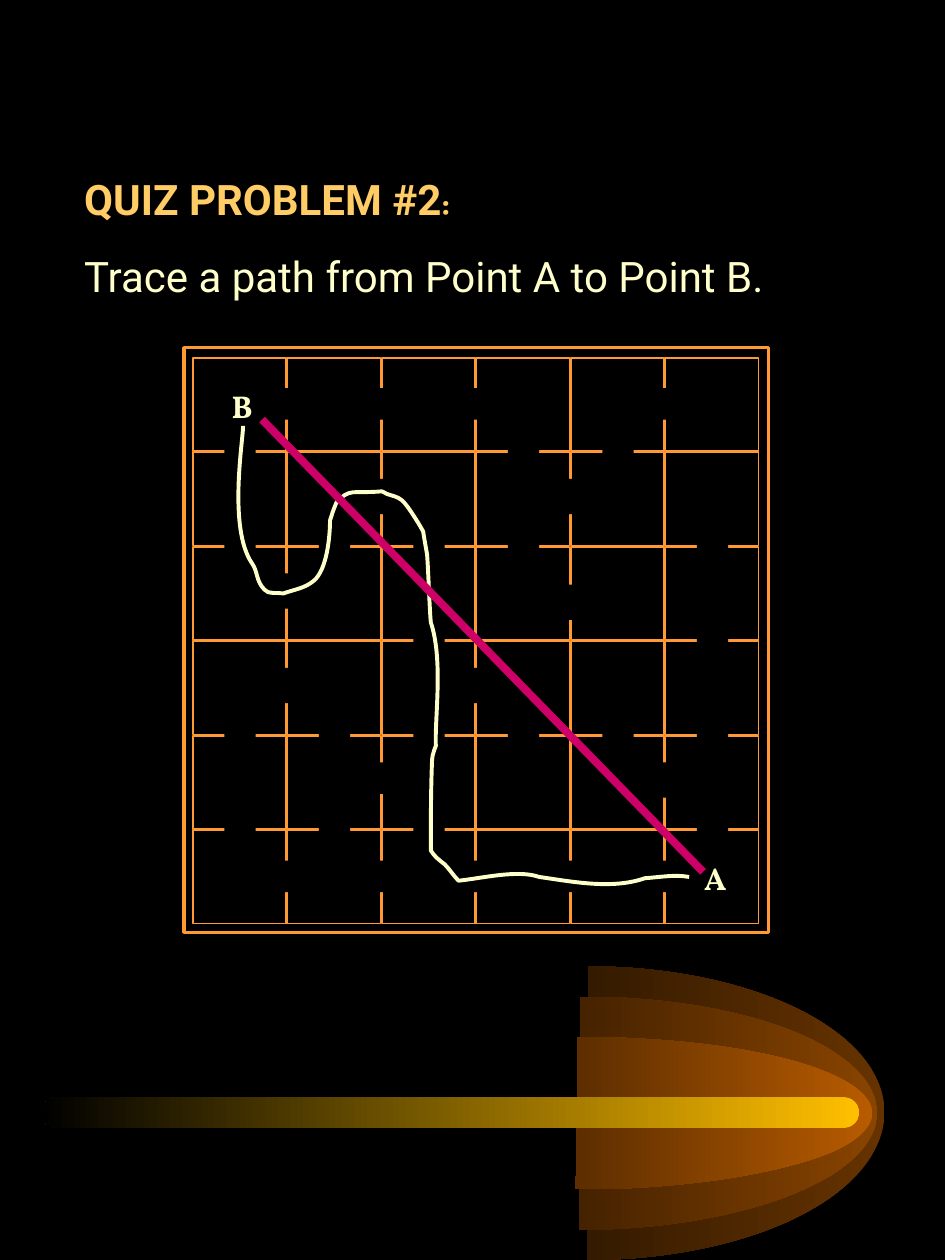
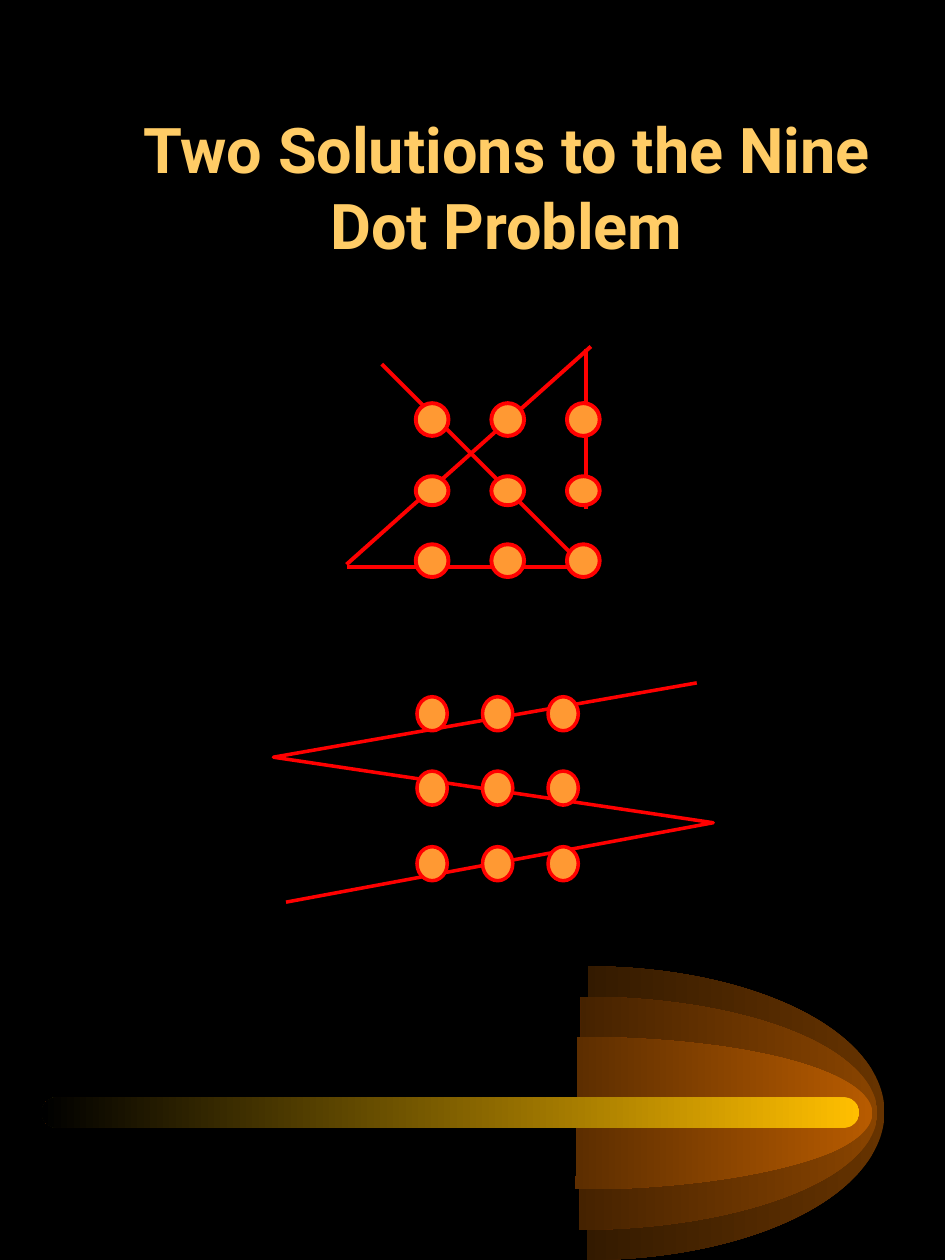
from copy import deepcopy
from dataclasses import dataclass
from itertools import product

from lxml.etree import SubElement
from pptx import Presentation
from pptx.dml.color import RGBColor
from pptx.enum.shapes import MSO_CONNECTOR, MSO_SHAPE
from pptx.enum.text import MSO_AUTO_SIZE, PP_ALIGN
from pptx.oxml.ns import qn
from pptx.util import Emu, Pt

EMU_PER_PX = 9144  # 100 px to the inch
COLORS = {
    "background": "000000",
    "heading": "FFCC66",
    "text": "FFFFCC",
    "orange": "FF9933",
    "red": "FF0000",
    "shortcut": "CC0066",
    "beam": "FFBF00",
    "outer flare": "663300",
    "middle flare": "894400",
    "inner flare": "B75B00",
}
SANS, SERIF = "Roboto", "Vollkorn"

Point = tuple[int, int]


@dataclass(frozen=True)
class Box:
    left: int
    top: int
    width: int
    height: int


@dataclass(frozen=True)
class Stroke:
    color: str
    points: float


@dataclass(frozen=True)
class Segment:
    start: Point
    end: Point
    stroke: Stroke


@dataclass(frozen=True)
class Span:
    text: str
    size: int
    font: str


@dataclass(frozen=True)
class Line:
    spans: tuple[Span, ...]
    color: str
    bold: bool = True
    space_before: float = 0
    align: PP_ALIGN = PP_ALIGN.LEFT


@dataclass(frozen=True)
class Flare:
    """Right half of an ellipse: its frame, arc control points and centre."""
    color: str
    frame: Box
    arc: tuple[Point, ...]
    center: Point


@dataclass(frozen=True)
class DotGrid:
    left: int
    pitch: int
    width: int
    rows: tuple[tuple[int, int], ...]  # top and height of each row
    stroke: Stroke


FLARES = (
    Flare("outer flare", Box(233, 767, 469, 233), (
        (467, 767), (551, 767), (629, 789), (671, 825), (713, 861),
        (712, 906), (670, 942), (628, 978), (550, 1000), (466, 1000)), (467, 883)),
    Flare("middle flare", Box(227, 791, 470, 185), (
        (461, 791), (545, 791), (623, 808), (665, 837), (707, 866),
        (707, 901), (664, 930), (622, 958), (544, 976), (460, 976)), (461, 883)),
    Flare("inner flare", Box(223, 823, 469, 121), (
        (458, 823), (542, 823), (619, 834), (661, 853), (703, 872),
        (703, 895), (661, 914), (618, 932), (541, 944), (457, 944)), (458, 883)),
)
BEAM = Box(33, 871, 649, 24)

MAZE_FRAME = Box(146, 276, 464, 464)
MAZE_LEFT, MAZE_TOP, CELL_PITCH, CELL_SIZE, CELL_COUNT = 153, 284, 75, 74, 6
PASSAGES = (
    Box(186, 308, 250, 25), Box(486, 308, 108, 25), Box(211, 683, 333, 25),
    Box(553, 385, 25, 333), Box(478, 533, 25, 119), Box(403, 533, 25, 119),
    Box(248, 605, 119, 25), Box(489, 605, 72, 28), Box(178, 310, 25, 181),
    Box(178, 535, 25, 181), Box(403, 319, 25, 181), Box(478, 308, 25, 108),
    Box(328, 385, 25, 333), Box(253, 392, 25, 108), Box(253, 535, 25, 181),
    Box(198, 530, 72, 28), Box(348, 530, 72, 28), Box(189, 455, 72, 28),
    Box(273, 380, 72, 28), Box(423, 380, 72, 28), Box(414, 464, 72, 28),
)
MAZE_LABELS = {"B": Box(174, 302, 51, 40), "A": Box(549, 677, 51, 40)}
TRACE_FRAME = Box(181, 338, 366, 369)
TRACED_PATH = (
    (547, 696), (535, 694), (526, 696), (512, 697),
    (486, 706), (456, 700), (428, 696), (411, 690), (383, 697), (364, 699),
    (360, 695), (357, 690), (353, 686), (348, 682), (345, 680), (342, 675),
    (342, 651), (342, 627), (343, 603), (343, 599), (346, 592), (346, 592),
    (345, 570), (352, 524), (342, 494), (341, 484), (340, 452), (339, 440),
    (339, 440), (336, 423), (336, 422), (334, 418), (323, 400), (319, 397),
    (315, 394), (313, 394), (307, 392), (306, 391), (303, 390), (303, 390),
    (279, 392), (278, 387), (267, 399), (263, 409), (265, 404), (262, 413),
    (262, 424), (260, 452), (249, 461), (242, 467), (233, 468), (225, 471),
    (220, 470), (213, 472), (210, 468), (203, 461), (205, 454), (200, 447),
    (181, 419), (193, 350), (193, 338),
)
SHORTCUT = Segment((208, 333), (558, 692), Stroke("shortcut", 4.5))

WALL = Stroke("orange", 1)
BOLD_RED = Stroke("red", 2.25)
THIN_RED = Stroke("red", 2)
FOUR_LINES = (
    Segment((467, 450), (275, 450), BOLD_RED),
    Segment((303, 289), (462, 448), BOLD_RED),
    Segment((465, 404), (465, 277), BOLD_RED),
    Segment((469, 275), (275, 448), BOLD_RED),
)
FOUR_LINE_DOTS = DotGrid(330, 60, 26, ((320, 26), (378, 23), (432, 26)), BOLD_RED)
ZIGZAG = ((553, 542), (217, 601), (566, 653), (227, 716))
ZIGZAG_DOTS = DotGrid(331, 52, 24, ((553, 27), (612, 27), (672, 27)), THIN_RED)


def px(length: int) -> Emu:
    return Emu(length * EMU_PER_PX)


def rgb(color: str) -> RGBColor:
    return RGBColor.from_string(COLORS[color])


def place(box: Box) -> tuple[Emu, ...]:
    return px(box.left), px(box.top), px(box.width), px(box.height)


def apply_stroke(item, stroke: Stroke | None) -> None:
    if stroke is None:
        item.line.fill.background()
    else:
        item.line.color.rgb = rgb(stroke.color)
        item.line.width = Pt(stroke.points)


def paint(shape, fill: str | None, stroke: Stroke | None) -> None:
    shape.shadow.inherit = False
    if fill is None:
        shape.fill.background()
    else:
        shape.fill.solid()
        shape.fill.fore_color.rgb = rgb(fill)
    apply_stroke(shape, stroke)


def paint_glow(shape, color: str) -> None:
    """Fill with a gradient from the colour on the right to the background."""
    paint(shape, None, None)
    shape.fill.gradient()
    shape.fill.gradient_angle = 180
    for stop, shade in zip(shape.fill.gradient_stops, (color, "background")):
        stop.color.rgb = rgb(shade)


def add_block(shapes, kind: MSO_SHAPE, box: Box, fill: str | None = None,
              stroke: Stroke | None = None):
    shape = shapes.add_shape(kind, *place(box))
    paint(shape, fill, stroke)
    return shape


def add_segment(shapes, segment: Segment) -> None:
    ends = [px(value) for value in segment.start + segment.end]
    connector = shapes.add_connector(MSO_CONNECTOR.STRAIGHT, *ends)
    apply_stroke(connector, segment.stroke)
    SubElement(connector._element.spPr, qn("a:effectLst"))


def add_outline(shapes, points: tuple[Point, ...]):
    corners = [(px(x), px(y)) for x, y in points]
    builder = shapes.build_freeform(*corners[0])
    builder.add_line_segments(corners[1:], close=False)
    return builder.convert_to_shape()


def add_path_step(path, tag: str, points: tuple[Point, ...], frame: Box) -> None:
    step = SubElement(path, qn(tag))
    for x, y in points:
        SubElement(step, qn("a:pt"), x=str(px(x - frame.left)), y=str(px(y - frame.top)))


def add_curve(shapes, frame: Box, controls: tuple[Point, ...]):
    """Add chained cubic Bezier curves; return the shape and its path element."""
    far_corner = (frame.left + frame.width, frame.top + frame.height)
    shape = add_outline(shapes, ((frame.left, frame.top), far_corner))
    path = next(shape._element.iter(qn("a:path")))
    for step in list(path):
        path.remove(step)
    add_path_step(path, "a:moveTo", controls[:1], frame)
    for first in range(1, len(controls), 3):
        add_path_step(path, "a:cubicBezTo", controls[first:first + 3], frame)
    return shape, path


def add_flare(shapes, flare: Flare) -> None:
    shape, sector = add_curve(shapes, flare.frame, flare.arc)
    rim = deepcopy(sector)
    rim.set("fill", "none")
    sector.addnext(rim)
    sector.set("stroke", "0")
    add_path_step(sector, "a:lnTo", (flare.center,), flare.frame)
    SubElement(sector, qn("a:close"))
    paint_glow(shape, flare.color)


def add_text(shapes, box: Box, lines: tuple[Line, ...]) -> None:
    frame = shapes.add_textbox(*place(box)).text_frame
    frame.word_wrap = True
    frame.auto_size = MSO_AUTO_SIZE.SHAPE_TO_FIT_TEXT
    for index, line in enumerate(lines):
        paragraph = frame.add_paragraph() if index else frame.paragraphs[0]
        paragraph.alignment = line.align
        if index:
            paragraph.space_before = Pt(line.space_before)
        paragraph.font.bold = line.bold
        paragraph.font.color.rgb = rgb(line.color)
        for span in line.spans:
            run = paragraph.add_run()
            run.text = span.text
            font = paragraph.font if len(line.spans) == 1 else run.font
            font.size = Pt(span.size)
            font.name = span.font


def add_dots(shapes, dots: DotGrid) -> None:
    for (top, height), column in product(dots.rows, range(3)):
        box = Box(dots.left + column * dots.pitch, top, dots.width, height)
        add_block(shapes, MSO_SHAPE.OVAL, box, "orange", dots.stroke)


def move_comet_to_master(prs, slide) -> None:
    """Draw the comet on a slide, then move it to the back of the master."""
    comet = slide.shapes.add_group_shape()
    for flare in FLARES:
        add_flare(comet.shapes, flare)
    beam = add_block(comet.shapes, MSO_SHAPE.ROUNDED_RECTANGLE, BEAM)
    beam.adjustments[0] = 0.5
    paint_glow(beam, "beam")
    for shape_id, properties in enumerate(comet._element.iter(qn("p:cNvPr")), 20):
        properties.set("id", str(shape_id))
    prs.slide_master.shapes._spTree.insert(2, comet._element)


def build_maze(shapes) -> None:
    for row, column in product(range(CELL_COUNT), repeat=2):
        cell = Box(MAZE_LEFT + column * CELL_PITCH, MAZE_TOP + row * CELL_PITCH,
                   CELL_SIZE, CELL_SIZE)
        add_block(shapes, MSO_SHAPE.RECTANGLE, cell, stroke=WALL)
    for passage in PASSAGES:
        add_block(shapes, MSO_SHAPE.RECTANGLE, passage, "background")
    add_block(shapes, MSO_SHAPE.RECTANGLE, MAZE_FRAME, stroke=Stroke("orange", 2))
    for letter, box in MAZE_LABELS.items():
        add_text(shapes, box, (Line((Span(letter, 18, SERIF),), "text"),))


def build_quiz_slide(shapes) -> None:
    add_text(shapes, Box(57, 133, 693, 111), (
        Line((Span("QUIZ PROBLEM #2", 24, SANS), Span(":", 18, SERIF)), "heading"),
        Line((Span("Trace a path from Point A to Point B.", 24, SANS),), "text",
             bold=False, space_before=15),
    ))
    build_maze(shapes.add_group_shape().shapes)
    traced_path, _ = add_curve(shapes, TRACE_FRAME, TRACED_PATH)
    paint(traced_path, None, Stroke("text", 2.25))
    add_segment(shapes, SHORTCUT)


def build_solutions_slide(shapes) -> None:
    four_line_solution = shapes.add_group_shape().shapes
    for segment in FOUR_LINES:
        add_segment(four_line_solution, segment)
    add_dots(four_line_solution, FOUR_LINE_DOTS)
    heading = Span("Two Solutions to the Nine Dot Problem", 36, SANS)
    add_text(shapes, Box(92, 83, 620, 130),
             (Line((heading,), "heading", align=PP_ALIGN.CENTER),))
    zigzag_solution = shapes.add_group_shape().shapes
    paint(add_outline(zigzag_solution, ZIGZAG), None, THIN_RED)
    add_dots(zigzag_solution, ZIGZAG_DOTS)


def main() -> None:
    prs = Presentation()
    prs.slide_width, prs.slide_height = px(750), px(1000)
    backdrop = prs.slide_master.background.fill
    backdrop.solid()
    backdrop.fore_color.rgb = rgb("background")
    blank = prs.slide_layouts[6]
    quiz, solutions = (prs.slides.add_slide(blank) for _ in range(2))
    move_comet_to_master(prs, quiz)
    build_quiz_slide(quiz.shapes)
    build_solutions_slide(solutions.shapes)
    prs.save("out.pptx")


if __name__ == "__main__":
    main()
